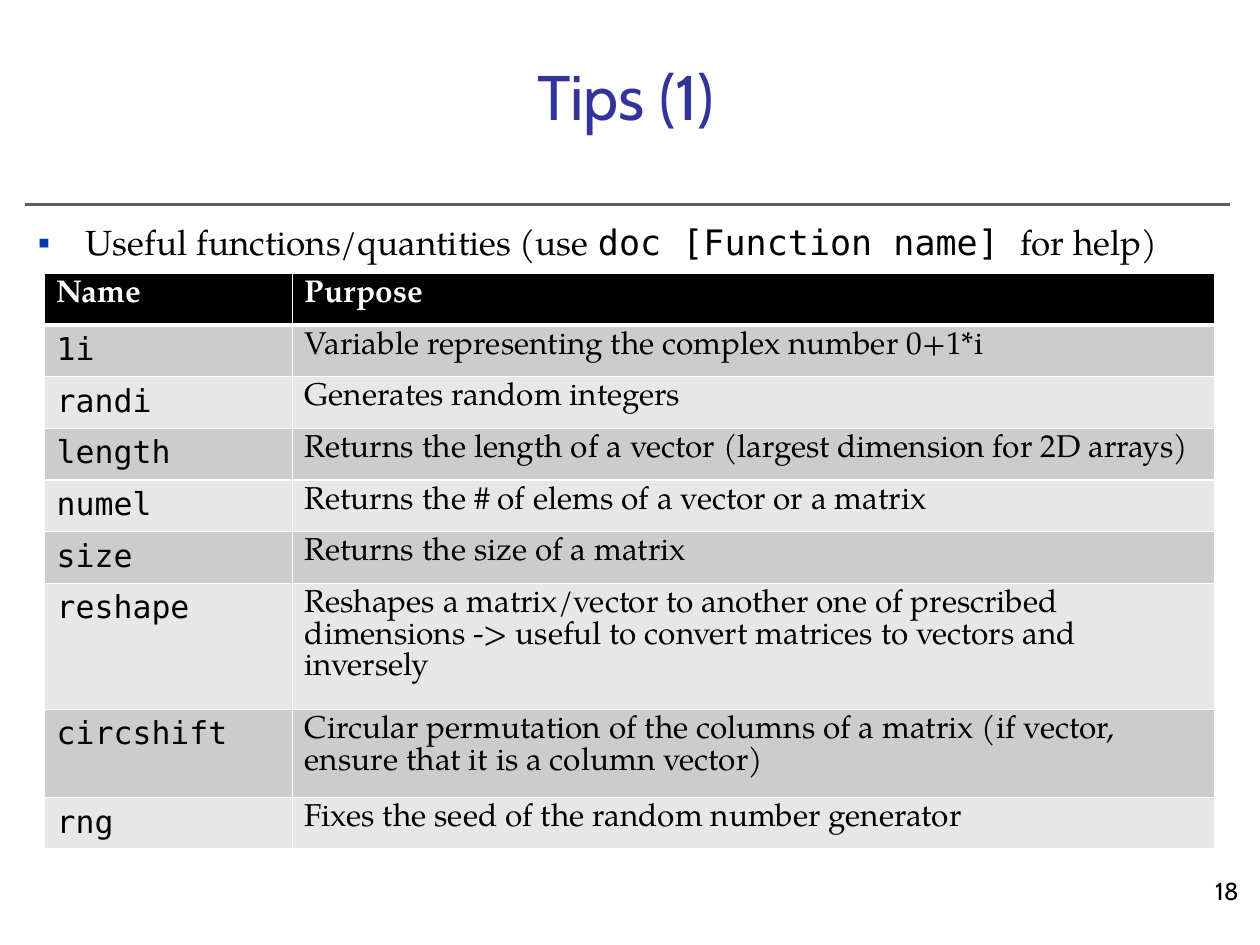
"""Build a slide that lists useful functions in a table."""
from lxml.etree import SubElement
from pptx import Presentation
from pptx.dml.color import RGBColor
from pptx.enum.shapes import MSO_CONNECTOR
from pptx.enum.text import MSO_ANCHOR, PP_ALIGN
from pptx.oxml.ns import qn
from pptx.util import Inches, Pt

BLACK = RGBColor(0x00, 0x00, 0x00)
WHITE = RGBColor(0xFF, 0xFF, 0xFF)
TITLE_BLUE = RGBColor(0x33, 0x33, 0x99)
BULLET_BLUE = RGBColor(0x00, 0x3B, 0xB0)
RULE_GREY = RGBColor(0x5F, 0x5F, 0x5F)
DARK_BAND = RGBColor(0xCC, 0xCC, 0xCC)
LIGHT_BAND = RGBColor(0xE7, 0xE7, 0xE7)

SANS = "Cabin"
SERIF = "TeX Gyre Pagella"
MONO = "DejaVu Sans Mono"

FUNCTIONS = [
    ("1i", "Variable representing the complex number 0+1*i"),
    ("randi", "Generates random integers"),
    ("length", "Returns the length of a vector (largest dimension for 2D arrays)"),
    ("numel", "Returns the # of elems of a vector or a matrix"),
    ("size", "Returns the size of a matrix"),
    ("reshape", "Reshapes a matrix/vector to another one of prescribed dimensions "
                "-> useful to convert matrices to vectors and inversely"),
    ("circshift", "Circular permutation of the columns of a matrix "
                  "(if vector, ensure that it is a column vector)"),
    ("rng", "Fixes the seed of the random number generator"),
]


def set_values(target, values):
    """Set each attribute named in the dict of format values."""
    for name, value in values.items():
        setattr(target, name, value)


def place(box, left, top, width, height):
    """Move and size a box, given in inches."""
    set_values(box, {"left": Inches(left), "top": Inches(top),
                     "width": Inches(width), "height": Inches(height)})


def add_span(para, text, font, size, color=BLACK, bold=False):
    """Add one formatted run of text to a paragraph."""
    span = para.add_run()
    span.text = text
    set_values(span.font, {"name": font, "size": Pt(size), "bold": bold})
    span.font.color.rgb = color


def add_rule(page):
    """Draw the grey line below the title."""
    rule = page.shapes.add_connector(
        MSO_CONNECTOR.STRAIGHT, Inches(0.2), Inches(1.62), Inches(9.76), Inches(1.62))
    rule.line.width = Pt(1.75)
    rule.line.color.rgb = RULE_GREY
    SubElement(rule._element.spPr, qn("a:effectLst"))


def fill_title(page, text):
    """Place and format the title."""
    title = page.shapes.title
    place(title, 1.06, 0.41, 7.81, 0.69)
    title.text_frame.vertical_anchor = MSO_ANCHOR.MIDDLE
    para = title.text_frame.paragraphs[0]
    para.alignment = PP_ALIGN.CENTER
    add_span(para, text, SANS, 36, TITLE_BLUE)


def add_bullet(para, symbol, color):
    """Give a paragraph a hanging coloured bullet."""
    properties = para._p.get_or_add_pPr()
    properties.set("marL", str(Inches(0.38)))
    properties.set("indent", str(-Inches(0.38)))
    bullet_color = SubElement(properties, qn("a:buClr"))
    SubElement(bullet_color, qn("a:srgbClr"), val=str(color))
    SubElement(properties, qn("a:buChar"), char=symbol)


def fill_body(page, spans):
    """Place the body and write its single bullet from text and font pairs."""
    body = page.placeholders[1]
    place(body, 0.2, 1.74, 9.61, 4.96)
    para = body.text_frame.paragraphs[0]
    set_values(para, {"line_spacing": 0.9, "space_before": Pt(4)})
    add_bullet(para, "▪", BULLET_BLUE)
    for text, font in spans:
        add_span(para, text, font, 20)


def add_border(cell, side, width):
    """Draw a white border on one side of a cell."""
    line = SubElement(cell._tc.get_or_add_tcPr(), qn(f"a:ln{side}"), w=str(Pt(width)))
    fill = SubElement(line, qn("a:solidFill"))
    SubElement(fill, qn("a:srgbClr"), val=str(WHITE))


def fill_cell(cell, text, font, band, color=BLACK, header=False, below_header=False):
    """Write and colour one table cell."""
    widths = {"L": 1, "R": 1, "T": 3 if below_header else 1, "B": 3 if header else 1}
    for side, width in widths.items():
        add_border(cell, side, width)
    cell.fill.solid()
    cell.fill.fore_color.rgb = band
    add_span(cell.text_frame.paragraphs[0], text, font, 18, color, header)


def add_function_table(page):
    """Add the table of function names and purposes."""
    row_count = len(FUNCTIONS) + 1
    table = page.shapes.add_table(
        row_count, 2, Inches(0.35), Inches(2.17),
        Inches(9.29), Inches(0.41 * row_count)).table
    for column, width in zip(table.columns, (1.97, 7.32)):
        column.width = Inches(width)
    for index, heading in enumerate(("Name", "Purpose")):
        fill_cell(table.cell(0, index), heading, SERIF, BLACK, WHITE, header=True)
    for row, texts in enumerate(FUNCTIONS, start=1):
        band = DARK_BAND if row % 2 else LIGHT_BAND
        for index, (text, font) in enumerate(zip(texts, (MONO, SERIF))):
            fill_cell(table.cell(row, index), text, font, band, below_header=row == 1)


def add_page_number(page, number):
    """Add the page number at the lower right."""
    box = page.shapes.add_textbox(Inches(7.6), Inches(6.9), Inches(2.33), Inches(0.52))
    box.text_frame.word_wrap = True
    para = box.text_frame.paragraphs[0]
    para.alignment = PP_ALIGN.RIGHT
    add_span(para, number, SANS, 14)


def main():
    """Build and save the deck."""
    deck = Presentation()
    set_values(deck, {"slide_width": Inches(10), "slide_height": Inches(7.5)})
    page = deck.slides.add_slide(deck.slide_layouts[1])
    add_rule(page)
    fill_title(page, "Tips (1)")
    fill_body(page, [("Useful functions/quantities (use ", SERIF),
                     ("doc [Function name] ", MONO), ("for help)", SERIF)])
    add_page_number(page, "18")
    add_function_table(page)
    deck.save("out.pptx")


if __name__ == "__main__":
    main()
